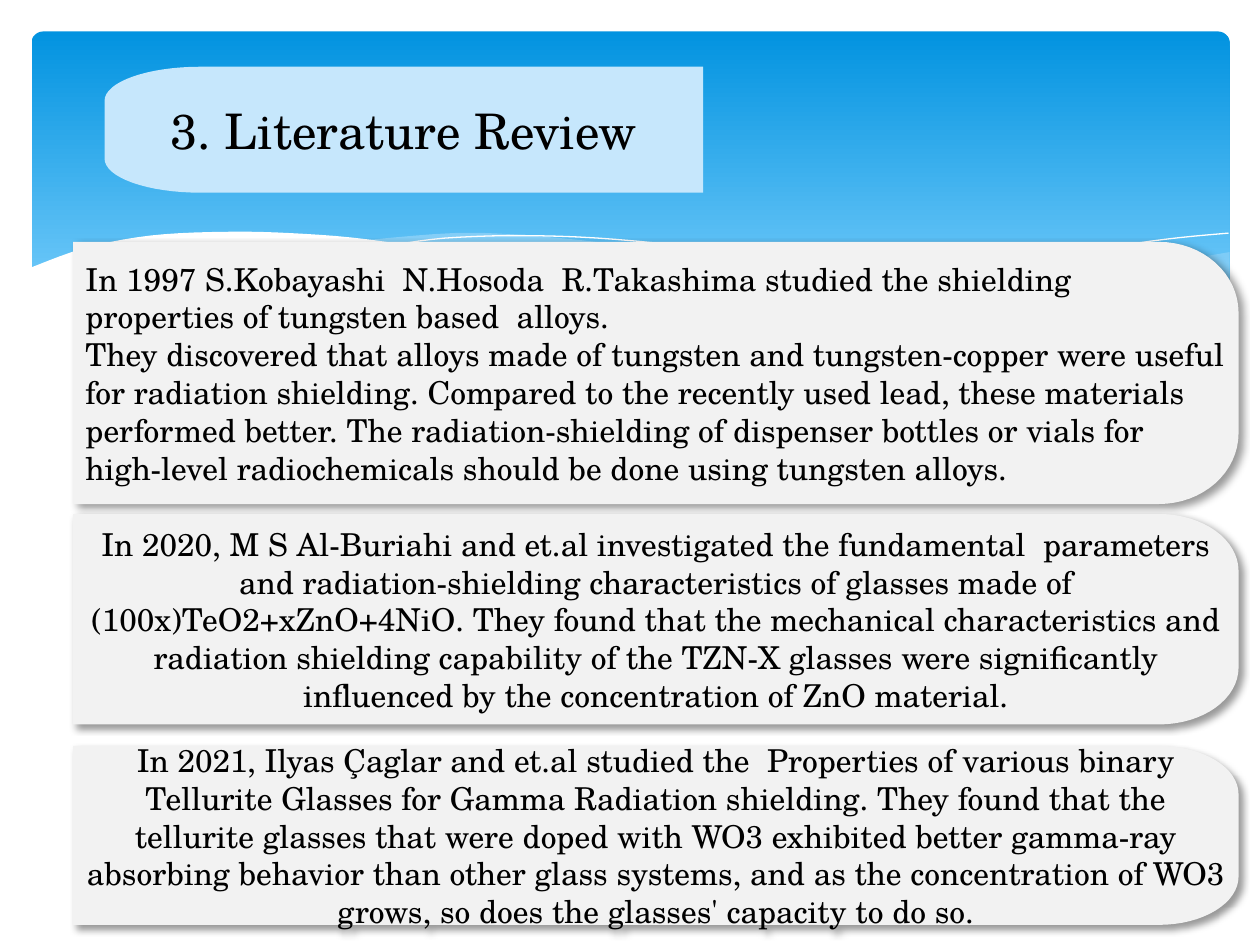
from math import cos, pi, sin

from lxml import etree
from pptx import Presentation
from pptx.dml.color import RGBColor
from pptx.enum.shapes import MSO_SHAPE
from pptx.enum.text import MSO_ANCHOR, PP_ALIGN
from pptx.oxml.ns import qn
from pptx.util import Inches, Pt

ROUND_RECT = MSO_SHAPE.ROUNDED_RECTANGLE
MIDDLE = MSO_ANCHOR.MIDDLE
LEFT, CENTER = PP_ALIGN.LEFT, PP_ALIGN.CENTER

FONT = "TeX Gyre Schola"
BLACK, WHITE, PALE_BLUE, CARD_GRAY = "000000", "FFFFFF", "C6E7FC", "F2F2F2"
CARD_LEFT, CARD_WIDTH = 0.58, 9.25
CARD_CORNER_WIDTH, CARD_CORNER_SHARE = 0.63, 0.27
TITLE_BOX = (0.83, 0.53, 4.75, 1)

# Waves at the foot of the banner: knots joined by smooth curves
RIGHT_WAVE_TOP = [(9.76, 2), (9.21, 2.1), (8.61, 2.23), (7.79, 2.42),
                  (7.06, 2.57), (6.61, 2.65)]
RIGHT_WAVE_FOOT = [(6.61, 2.65), (7.19, 2.72), (8.03, 2.78), (8.72, 2.74),
                   (9.28, 2.63), (9.76, 2.47)]
MIDDLE_WAVE_TOP = [(8.93, 2.73), (8.07, 2.6), (7.06, 2.4), (6.29, 2.22),
                   (5.55, 2.05), (4.89, 1.94), (4.2, 1.87), (3.61, 1.85),
                   (2.86, 1.91)]
MIDDLE_WAVE_FOOT = [(2.86, 1.91), (3.62, 2.03), (4.49, 2.22), (5.66, 2.48),
                    (6.5, 2.64), (7.36, 2.75), (8.18, 2.78), (8.93, 2.73)]
LONG_CREST = [(3.09, 1.95), (3.53, 1.89), (4.16, 1.87), (4.89, 1.9),
              (5.82, 2), (6.65, 2.13), (7.6, 2.33), (8.31, 2.51), (9.07, 2.72)]
RIGHT_CREST = [(6.13, 2.57), (6.95, 2.35), (7.76, 2.16), (8.66, 1.99),
               (9.24, 1.9), (9.75, 1.85)]
WHITE_WAVE = [(9.77, 2.46), (9.2, 2.65), (8.63, 2.74), (8.09, 2.77),
              (7.26, 2.72), (6.48, 2.62), (5.55, 2.45), (4.47, 2.2),
              (3.65, 2.02), (2.92, 1.9), (2.3, 1.85), (1.77, 1.84),
              (1.19, 1.87), (0.67, 1.97), (0.23, 2.13)]

# top, height, alignment, paragraphs
STUDIES = [
    (1.92, 2.08, LEFT, [
        "In 1997 S.Kobayashi  N.Hosoda  R.Takashima studied the shielding "
        "properties of tungsten based  alloys.",
        "They discovered that alloys made of tungsten and tungsten-copper were "
        "useful for radiation shielding. Compared to the recently used lead, "
        "these materials performed better. The radiation-shielding of dispenser "
        "bottles or vials for high-level radiochemicals should be done using "
        "tungsten alloys."]),
    (4.08, 1.67, CENTER, [
        "In 2020, M S Al-Buriahi and et.al investigated the fundamental "
        " parameters and radiation-shielding characteristics of glasses made of "
        "(100x)TeO2+xZnO+4NiO. They found that the mechanical characteristics "
        "and radiation shielding capability of the TZN-X glasses were "
        "significantly influenced by the concentration of ZnO material."]),
    (5.92, 1.42, CENTER, [
        "In 2021, Ilyas Çaglar and et.al studied the  Properties of various "
        "binary Tellurite Glasses for Gamma Radiation shielding. They found that "
        "the tellurite glasses that were doped with WO3 exhibited better "
        "gamma-ray absorbing behavior than other glass systems, and as the "
        "concentration of WO3 grows, so does the glasses' capacity to do so."]),
]


def color(hex_string):
    return RGBColor.from_string(hex_string)


def smooth(knots, steps=5):
    """Points of a Catmull-Rom curve through the knots."""
    padded = [knots[0], *knots, knots[-1]]
    points = []
    for a, b, c, d in zip(padded, padded[1:], padded[2:], padded[3:]):
        for t in (step / steps for step in range(steps)):
            points.append(tuple(
                q + t / 2 * (r - p + t * (2 * p - 5 * q + 4 * r - s
                                          + t * (3 * q - p - 3 * r + s)))
                for p, q, r, s in zip(a, b, c, d)))
    return points + [knots[-1]]


def corner(center_x, center_y, radius_x, radius_y, start, steps=16):
    """Points of a quarter ellipse, clockwise from the start angle."""
    angles = [start + pi / 2 * step / steps for step in range(steps + 1)]
    return [(center_x + radius_x * cos(a), center_y + radius_y * sin(a))
            for a in angles]


def add_outline(slide, points, closed=True):
    emu = [(Inches(x), Inches(y)) for x, y in points]
    builder = slide.shapes.build_freeform(*emu[0])
    builder.add_line_segments(emu[1:], close=closed)
    outline = builder.convert_to_shape()
    outline.shadow.inherit = False
    return outline


def add_area(slide, points, fill, opacity=100):
    area = add_outline(slide, points)
    area.fill.solid()
    area.fill.fore_color.rgb = color(fill)
    area.line.fill.background()
    if opacity < 100:
        rgb = area.fill._xPr.find(".//" + qn("a:srgbClr"))
        etree.SubElement(rgb, qn("a:alpha"), val=str(opacity * 1000))
    return area


def add_crest(slide, knots):
    crest = add_outline(slide, smooth(knots), closed=False)
    crest.fill.background()
    crest.line.color.rgb = color(WHITE)
    crest.line.width = Pt(0)


def add_soft_shadow(shape):
    effects = shape._element.spPr.find(qn("a:effectLst"))
    shadow = etree.SubElement(
        effects, qn("a:outerShdw"), blurRad=str(Pt(4)), dist=str(Pt(3)),
        dir=str(45 * 60000), algn="tl", rotWithShape="0")
    rgb = etree.SubElement(shadow, qn("a:srgbClr"), val=BLACK)
    etree.SubElement(rgb, qn("a:alpha"), val="40000")


def write(shape, paragraphs, size, alignment):
    frame = shape.text_frame
    frame.word_wrap = True
    frame.vertical_anchor = MIDDLE
    frame.text = "\n".join(paragraphs)
    for paragraph in frame.paragraphs:
        paragraph.alignment = alignment
        paragraph.font.name = FONT
        paragraph.font.size = Pt(size)
        paragraph.font.color.rgb = color(BLACK)


def add_banner(slide):
    banner = slide.shapes.add_shape(
        ROUND_RECT, *map(Inches, (0.25, 0.25, 9.51, 2.7)))
    banner.adjustments[0] = 0.034
    banner.shadow.inherit = False
    banner.line.fill.background()
    banner.fill.gradient()
    banner.fill.gradient_angle = 270
    stops = [(0, "0293E0"), (0.9, "83D3FE")]
    for stop, (position, shade) in zip(banner.fill.gradient_stops, stops):
        stop.position = position
        stop.color.rgb = color(shade)


def add_waves(slide):
    add_area(slide, smooth(RIGHT_WAVE_TOP) + smooth(RIGHT_WAVE_FOOT),
             PALE_BLUE, 29)
    add_area(slide, smooth(MIDDLE_WAVE_TOP) + smooth(MIDDLE_WAVE_FOOT),
             PALE_BLUE, 40)
    add_crest(slide, LONG_CREST)
    add_crest(slide, RIGHT_CREST)
    add_area(slide, smooth(WHITE_WAVE) + [(0.23, 3.29), (9.77, 3.29)], WHITE)


def add_title(slide, text):
    left, top, width, height = TITLE_BOX
    right, bottom = left + width, top + height
    radius_x, radius_y = 0.76, 0.27
    add_area(slide, [
        (right, top), (right, bottom),
        *corner(left + radius_x, bottom - radius_y, radius_x, radius_y, pi / 2),
        *corner(left + radius_x, top + radius_y, radius_x, radius_y, pi),
    ], PALE_BLUE)
    title = slide.shapes.title
    title.left, title.top, title.width, title.height = map(Inches, TITLE_BOX)
    write(title, [text], 28, CENTER)
    slide.shapes._spTree.append(title._element)  # bring in front of its panel


def add_study(slide, top, height, alignment, paragraphs):
    right, bottom = CARD_LEFT + CARD_WIDTH, top + height
    radius_x, radius_y = CARD_CORNER_WIDTH, CARD_CORNER_SHARE * height
    card = add_area(slide, [
        (CARD_LEFT, bottom), (CARD_LEFT, top),
        *corner(right - radius_x, top + radius_y, radius_x, radius_y, -pi / 2),
        *corner(right - radius_x, bottom - radius_y, radius_x, radius_y, 0),
    ], CARD_GRAY)
    add_soft_shadow(card)
    write(card, paragraphs, 18, alignment)


def main():
    deck = Presentation()
    deck.slide_width, deck.slide_height = Inches(10), Inches(7.5)
    slide = deck.slides.add_slide(deck.slide_layouts[5])
    add_banner(slide)
    add_waves(slide)
    add_title(slide, "3. Literature Review")
    for study in STUDIES:
        add_study(slide, *study)
    deck.save("out.pptx")


if __name__ == "__main__":
    main()
